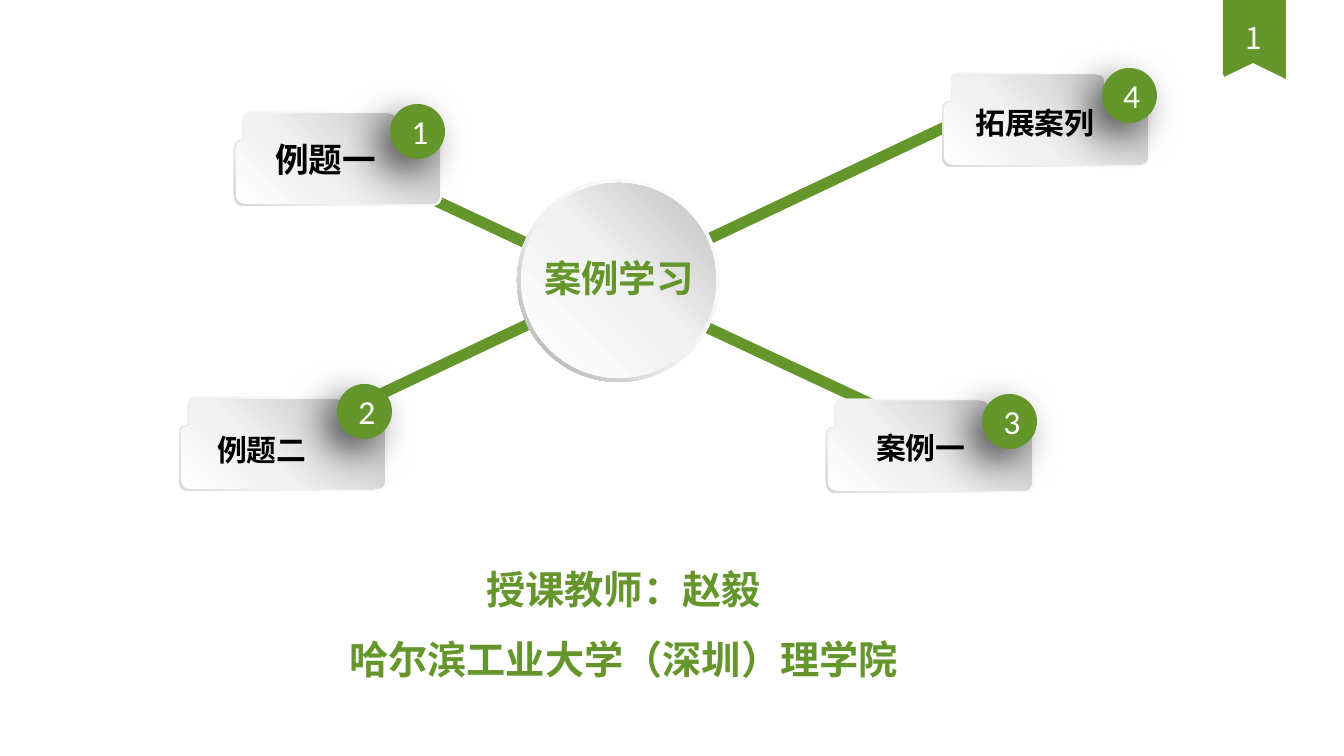
from dataclasses import dataclass
from math import hypot

from pptx import Presentation
from pptx.dml.color import RGBColor
from pptx.enum.shapes import MSO_CONNECTOR, MSO_SHAPE as SHAPE
from pptx.enum.text import MSO_ANCHOR as ANCHOR, MSO_AUTO_SIZE as AUTO, PP_ALIGN as ALIGN
from pptx.oxml import parse_xml
from pptx.oxml.ns import nsdecls, qn
from pptx.util import Emu, Pt


@dataclass(frozen=True)
class Theme:
    green: str = "65962B"
    white: str = "FFFFFF"
    pale: str = "F8F8F8"
    black: str = "000000"
    cjk: str = "Noto Sans CJK SC"
    latin: str = "Calibri"
    page: int = 16
    ball: int = 18
    hub: int = 20
    credit: int = 21
    spoke: int = 6


T = Theme()

# Gradients: (angle, [(position %, colour), ...])
CARD_RIM = (135, [(0, "FFFFFF"), (62, "F2F2F2"), (100, "D9D9D9")])
CARD_FACE = (315, [(0, "FFFFFF"), (39, "F0F0F0"), (100, "BFBFBF")])
HUB_RIM = (135, [(0, "FFFFFF"), (55, "F2F2F2"), (100, "A6A6A6")])
HUB_FACE = (315, [(0, "FFFFFF"), (51, "F2F2F2"), (100, "BFBFBF")])

# Content; all lengths are px
PAGE = "1"
TITLE = "案例学习"
CREDIT = "授课教师：赵毅\v哈尔滨工业大学（深圳）理学院"
CARDS = [  # text, size, card corner, text box, ball corner
    ("例题一", 18, (234, 112), (262, 132, 129, 54), (390, 104)),
    ("例题二", 16, (179, 397), (204, 425, 118, 50), (337, 384)),
    ("案例一", 16, (826, 399), (863, 423, 118, 50), (982, 394)),
    ("拓展案列", 16, (942, 73), (962, 98, 148, 50), (1102, 68)),
]
SPOKES = [(935, 434, 402, 185), (288, 438, 958, 121)]
RIBBONS = [
    [(1286, 79), (1253, 63), (1224, 77), (1224, 0), (1286, 0)],
    [(1284, 75), (1253, 62), (1223, 75), (1223, 0), (1284, 0)],
]
CARD_SIZE = (208, 94)
CARD_CORNERS = [  # x, y, radius
    (9, 0, 8), (163, 0, 8), (163, 28, 0), (208, 28, 11),
    (208, 94, 11), (0, 94, 11), (0, 28, 9), (9, 28, 0),
]
CARD_INSET = 2
HUB = (517, 179, 203)
HUB_INSET = 4
BALL = 55


def px(n):
    return Emu(round(n * 914400 / 134.4))


def box(*lengths):
    return [px(n) for n in lengths]


prs = Presentation()
prs.slide_width, prs.slide_height = box(1344, 756)
s = prs.slides.add_slide(prs.slide_layouts[5])
shapes = s.shapes


def paint(sp, fill):
    """Fill with a colour, or with a gradient given as (angle, stops)."""
    sp.shadow.inherit = False
    sp.line.fill.background()
    if isinstance(fill, str):
        sp.fill.solid()
        sp.fill.fore_color.rgb = RGBColor.from_string(fill)
        return sp
    angle, stops = fill
    sp.fill.gradient()
    gs = "".join(f'<a:gs pos="{pos * 1000}"><a:srgbClr val="{color}"/></a:gs>'
                 for pos, color in stops)
    grad = parse_xml(f'<a:gradFill {nsdecls("a")} rotWithShape="1"><a:gsLst>{gs}</a:gsLst>'
                     f'<a:lin ang="{angle * 60000}" scaled="0"/></a:gradFill>')
    spPr = sp._element.spPr
    spPr.replace(spPr.find(qn("a:gradFill")), grad)
    return sp


def polygon(points, fill):
    pts = [box(*pt) for pt in points]
    fb = shapes.build_freeform(*pts[0], scale=1.0)
    fb.add_line_segments(pts[1:], close=True)
    return paint(fb.convert_to_shape(), fill)


def rounded(corners, steps=6):
    """Replace each (x, y, radius) corner with points on a short curve."""
    points = []
    for i, (x, y, radius) in enumerate(corners):
        if not radius:
            points.append((x, y))
            continue
        ends = []
        for nx, ny, _ in (corners[i - 1], corners[(i + 1) % len(corners)]):
            t = radius / hypot(nx - x, ny - y)
            ends.append((x + (nx - x) * t, y + (ny - y) * t))
        (ax, ay), (bx, by) = ends
        for k in range(steps + 1):
            t = k / steps
            a, c, b = (1 - t) ** 2, 2 * t * (1 - t), t ** 2
            points.append((a * ax + c * x + b * bx, a * ay + c * y + b * by))
    return points


def card(left, top, inset, fill):
    w, h = CARD_SIZE
    kx, ky = 1 - 2 * inset / w, 1 - 2 * inset / h
    polygon([(left + inset + x * kx, top + inset + y * ky)
             for x, y in rounded(CARD_CORNERS)], fill)


def write(sp, text, size, color, font=T.cjk, bold=False, align=ALIGN.CENTER,
          spacing=None, **frame):
    tf = sp.text_frame
    tf.text = text
    for name, value in frame.items():
        setattr(tf, name, value)
    p = tf.paragraphs[0]
    p.alignment = align
    if spacing:
        p.line_spacing = spacing
    for r in p.runs:
        for name, value in {"size": Pt(size), "bold": bold, "name": font}.items():
            setattr(r.font, name, value)
        r.font.color.rgb = RGBColor.from_string(color)
        r.font._element.find(qn("a:latin")).addnext(
            parse_xml(f'<a:ea {nsdecls("a")} typeface="{font}"/>'))


def cast_shadow(sp):
    sp._element.spPr.find(qn("a:effectLst")).append(parse_xml(
        f'<a:outerShdw {nsdecls("a")} blurRad="{Pt(20)}" dist="{Pt(10)}" dir="{135 * 60000}" '
        f'algn="tr" rotWithShape="0"><a:srgbClr val="{T.black}"><a:alpha val="60000"/>'
        '</a:srgbClr></a:outerShdw>'))


# Page ribbon
for ribbon in RIBBONS:
    polygon(ribbon, T.green)
write(shapes.add_textbox(*box(1218, 13, 71, 50)), PAGE, T.page, T.pale, word_wrap=True)

# Spokes
for spoke in SPOKES:
    line = shapes.add_connector(MSO_CONNECTOR.STRAIGHT, *box(*spoke))
    line.line.width = Pt(T.spoke)
    line.line.color.rgb = RGBColor.from_string(T.green)
    line._element.spPr.append(parse_xml(f'<a:effectLst {nsdecls("a")}/>'))

# Cards
for text, size, corner, area, _ in CARDS:
    card(*corner, 0, CARD_RIM)
    card(*corner, CARD_INSET, CARD_FACE)
    write(shapes.add_textbox(*box(*area)), text, size, T.black, bold=True,
          align=ALIGN.LEFT, word_wrap=False, auto_size=AUTO.SHAPE_TO_FIT_TEXT)

# Hub with the slide title
x, y, d = HUB
rim = paint(shapes.add_shape(SHAPE.DONUT, *box(x, y, d, d)), HUB_RIM)
rim.adjustments[0] = 0.05
inner = d - 2 * HUB_INSET
paint(shapes.add_shape(SHAPE.OVAL, *box(x + HUB_INSET, y + HUB_INSET, inner, inner)), HUB_FACE)
title = shapes.title
title.left, title.top, title.width, title.height = box(543, 255, 152, 46)
write(title, TITLE, T.hub, T.green, bold=True, word_wrap=False, auto_size=AUTO.NONE,
      vertical_anchor=ANCHOR.MIDDLE, margin_left=0, margin_right=0, margin_top=0,
      margin_bottom=0)
shapes._spTree.append(title._element)

# Numbered balls
for number, (*_, corner) in enumerate(CARDS, 1):
    ball = paint(shapes.add_shape(SHAPE.OVAL, *box(*corner, BALL, BALL)), T.green)
    cast_shadow(ball)
    write(ball, str(number), T.ball, T.white, font=T.latin, vertical_anchor=ANCHOR.MIDDLE)

write(shapes.add_textbox(*box(323, 535, 601, 145)), CREDIT, T.credit, T.green, bold=True,
      spacing=1.5, word_wrap=True)

prs.save("out.pptx")
